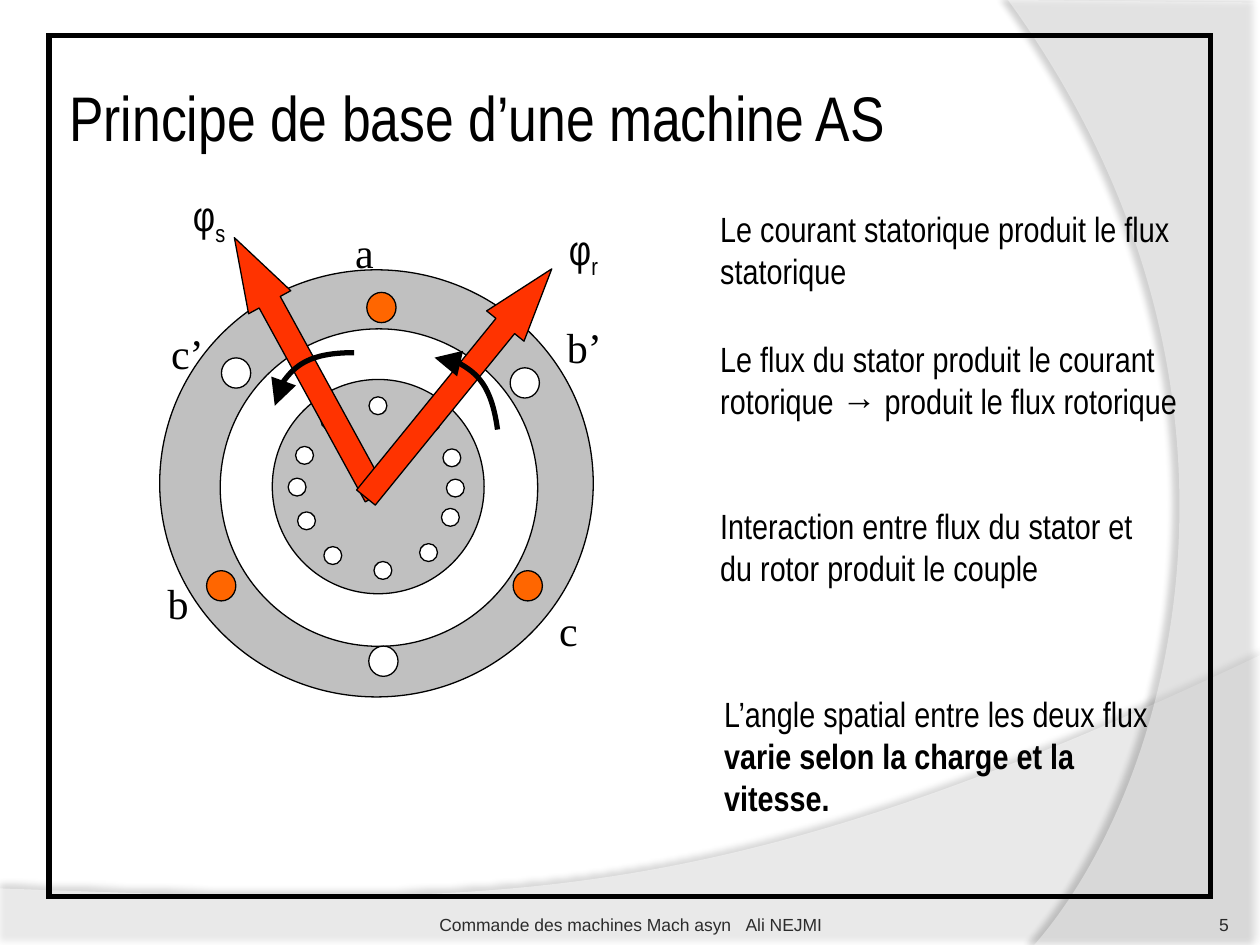
from lxml import etree
from pptx import Presentation, util as u
from pptx.dml.color import RGBColor
from pptx.enum import shapes, text
from pptx.oxml import ns

# ---- Theme
THEME = {
    "ink": "000000", "white": "FFFFFF", "iron": "C0C0C0", "live": "FF6600",
    "flux": "FF3300", "page_number": "292929", "footer": "2C2C2C",
    "thin": 0.75, "thick": 3,
    "title": {"name": "Arial Narrow", "size": u.Pt(36)},
    "phase": {"name": "Times New Roman", "size": u.Pt(24)},
    "symbol": {"name": "Arial Narrow", "size": u.Pt(24)},
    "note": {"name": "Arial Narrow", "size": u.Pt(20)},
    "small": {"name": "Arial", "size": u.Pt(10)},
}

# ---- Content (lengths in cm)
TITLE = ("Principe de base d’une machine AS", (1.27, 0.76, 20.75, 3.18))
FRAME = (0.99, 0.71, 23.42, 17.37)
# straight corners, Bezier curve, opacity %, shadow (opacity %, blur pt, distance pt, angle)
WAVES = [
    ([(0, 17.91), (0, 19.08), (25.4, 19.08)],
     [(25.4, 13.21), (14.2, 18.52), (9.93, 18.26), (0, 17.91)], 45, (35, 4, 3.5, 270)),
    ([(25.4, 0.05), (25.4, 19.05)],
     [(20.85, 19.05), (23.75, 15.72), (25.86, 7.62), (20.32, 0)], 40, (45, 4, 4, 180)),
]
RINGS = [  # stator, air gap, rotor
    ((3.22, 5.44, 8.74, 8.61), "iron"),
    ((4.44, 6.63, 6.4, 6.4), "white"),
    ((5.49, 7.65, 4.27, 4.32), "iron"),
]
SLOT_SIZE, BAR_SIZE = (0.59, 0.61), (0.36, 0.36)
SLOTS = {  # centres of the stator conductors
    "live": [(7.69, 6.2), (10.64, 11.81), (4.46, 11.81)],
    "white": [(7.73, 13.33), (4.76, 7.52), (10.58, 7.72)],
}
ROTOR_BARS = [(7.62, 8.18), (7.72, 11.5), (6.71, 11.2), (8.69, 8.53),
              (8.64, 11.14), (6.65, 8.48), (9.08, 10.43), (6.14, 9.18),
              (6.18, 10.5), (9.11, 9.23), (9.18, 9.84), (5.99, 9.82)]
PHASE_SIZE = (2.62, 2.03)
PHASES = [("a", (6.91, 4.45)), ("b", (3.13, 11.52)), ("b’", (11.18, 6.35)),
          ("c’", (3.2, 6.48)), ("c", (11.02, 12.07))]
ARROW_SIZE = (5.94, 0.97)
FLUXES = [  # index, arrow corner, angle, symbol box, rotation arc
    ("s", (3.18, 6.91), 241.3, (3.64, 3.7, 1.24, 1.27),
     [(7.14, 7.11), (6.25, 7.11), (5.54, 7.59), (5.54, 8.18)]),
    ("r", (6.28, 7.24), 309.1, (11.22, 4.38, 1.14, 1.27),
     [(10.03, 8.66), (9.91, 7.77), (9.32, 7.14), (8.76, 7.21)]),
]
NOTES = [
    ([("Le courant statorique produit le flux statorique", {})],
     (14.27, 4.06, 9.58, 1.96)),
    ([("Interaction entre flux du stator et du rotor produit le couple", {})],
     (14.27, 10.04, 9.58, 1.96)),
    ([("L’angle spatial entre les deux flux ", {}),
      ("varie selon la charge et la vitesse.", {"bold": True})],
     (14.35, 13.84, 9.58, 2.82)),
    ([("Le flux du stator produit le courant rotorique → produit le flux rotorique", {})],
     (14.27, 6.68, 10.01, 1.96)),
]
FOOTERS = [
    (["5"], (22.66, 17.83, 2.11, 1.02), "page_number", text.PP_ALIGN.RIGHT, 0),
    (["Commande des machines Mach asyn", " ", "Ali NEJMI"],
     (8.69, 17.83, 8.05, 1.02), "footer", text.PP_ALIGN.CENTER, 0.13),
]

deck = Presentation()
deck.slide_width, deck.slide_height = u.Cm(25.4), u.Cm(19.05)
page = deck.slides.add_slide(deck.slide_layouts[6])


def colour(name):
    return RGBColor.from_string(THEME[name])


def cm(values):
    return [u.Cm(value) for value in values]


def apply(target, values):
    for name, value in values.items():
        setattr(target, name, value)


def add_xml(parent, tag, **values):
    return etree.SubElement(parent, ns.qn(tag), values)


def finish(shape, fill=None, width=None):
    shape.shadow.inherit = False
    if fill:
        shape.fill.solid()
        shape.fill.fore_color.rgb = colour(fill)
    else:
        shape.fill.background()
    if width:
        shape.line.color.rgb = colour("ink")
        shape.line.width = u.Pt(width)
    else:
        shape.line.fill.background()
    return shape


def add_preset(kind, box, fill=None, width=THEME["thin"]):
    return finish(page.shapes.add_shape(kind, *cm(box)), fill, width)


def add_dot(centre, size, fill):
    corner = [middle - side / 2 for middle, side in zip(centre, size)]
    add_preset(shapes.MSO_SHAPE.OVAL, (*corner, *size), fill)


def add_outline(corners, curve, close):
    """Draw straight corners, then one cubic Bezier curve."""
    start, *rest = [tuple(cm(point)) for point in [*corners, curve[0], curve[-1]]]
    builder = page.shapes.build_freeform(*start)
    builder.add_line_segments(rest, close=close)
    shape = builder.convert_to_shape()
    segment = list(shape._element.iter(ns.qn("a:lnTo")))[-1]
    bend = etree.Element(ns.qn("a:cubicBezTo"))
    for x, y in map(cm, curve[1:]):
        add_xml(bend, "a:pt", x=str(x - shape.left), y=str(y - shape.top))
    segment.getparent().replace(segment, bend)
    return shape


def add_text(spans, box, style, ink="ink", align=text.PP_ALIGN.LEFT, **frame_format):
    frame = page.shapes.add_textbox(*cm(box)).text_frame
    apply(frame, {"word_wrap": True, **frame_format})
    para = frame.paragraphs[0]
    para.alignment = align
    for words, extra in spans:
        span = para.add_run()
        span.text = words
        apply(span.font, {**THEME[style], **extra})
        span.font.color.rgb = colour(ink)
    return para


# ---- Background waves
for corners, curve, opacity, (shade, blur, distance, angle) in WAVES:
    wave = finish(add_outline(corners, curve, True), "white")
    properties = wave._element.spPr
    fill_colour = properties.find(ns.qn("a:solidFill"))[0]
    add_xml(fill_colour, "a:alpha", val=str(opacity * 1000))
    shadow = add_xml(properties.find(ns.qn("a:effectLst")), "a:outerShdw",
                     blurRad=str(u.Pt(blur)), dist=str(u.Pt(distance)),
                     dir=str(angle * 60000), algn="ctr", rotWithShape="0")
    shadow_colour = add_xml(shadow, "a:srgbClr", val=THEME["ink"])
    add_xml(shadow_colour, "a:alpha", val=str(shade * 1000))

# ---- Title and frame
add_text([(TITLE[0], {})], TITLE[1], "title", vertical_anchor=text.MSO_ANCHOR.MIDDLE,
         margin_left=u.Cm(0.13), margin_right=u.Cm(0.13))
border = add_preset(shapes.MSO_SHAPE.RECTANGLE, FRAME, width=THEME["thick"])
add_xml(border.line._get_or_add_ln(), "a:miter", lim="800000")

# ---- Machine cross-section
for box, fill in RINGS:
    add_preset(shapes.MSO_SHAPE.OVAL, box, fill)
for fill, centres in SLOTS.items():
    for centre in centres:
        add_dot(centre, SLOT_SIZE, fill)
for centre in ROTOR_BARS:
    add_dot(centre, BAR_SIZE, "white")
for label, corner in PHASES:
    add_text([(label, {})], (*corner, *PHASE_SIZE), "phase")

# ---- Flux arrows with their symbols and directions of rotation
for index, corner, angle, symbol_box, arc in FLUXES:
    arrow = add_preset(shapes.MSO_SHAPE.RIGHT_ARROW, (*corner, *ARROW_SIZE), "flux")
    arrow.rotation = angle
    arrow.adjustments[0], arrow.adjustments[1] = 0.5, 1.53
    symbol = add_text([("φ", {}), (index, {})], symbol_box, "symbol", word_wrap=False)
    symbol.runs[1]._r.get_or_add_rPr().set("baseline", "-25000")
    turn = finish(add_outline([], arc, False), width=THEME["thick"])
    add_xml(turn.line._get_or_add_ln(), "a:tailEnd", type="triangle", w="lg", len="lg")

# ---- Explanations
for spans, box in NOTES:
    add_text(spans, box, "note")

# ---- Footer, with a widened space before the author
for parts, box, ink, align, top in FOOTERS:
    line = add_text([(words, {}) for words in parts], box, "small", ink, align,
                    vertical_anchor=text.MSO_ANCHOR.BOTTOM, margin_left=0,
                    margin_right=0, margin_top=u.Cm(top), margin_bottom=0)
    for gap in line.runs[1:2]:
        gap._r.get_or_add_rPr().set("spc", "556")

deck.save("out.pptx")
